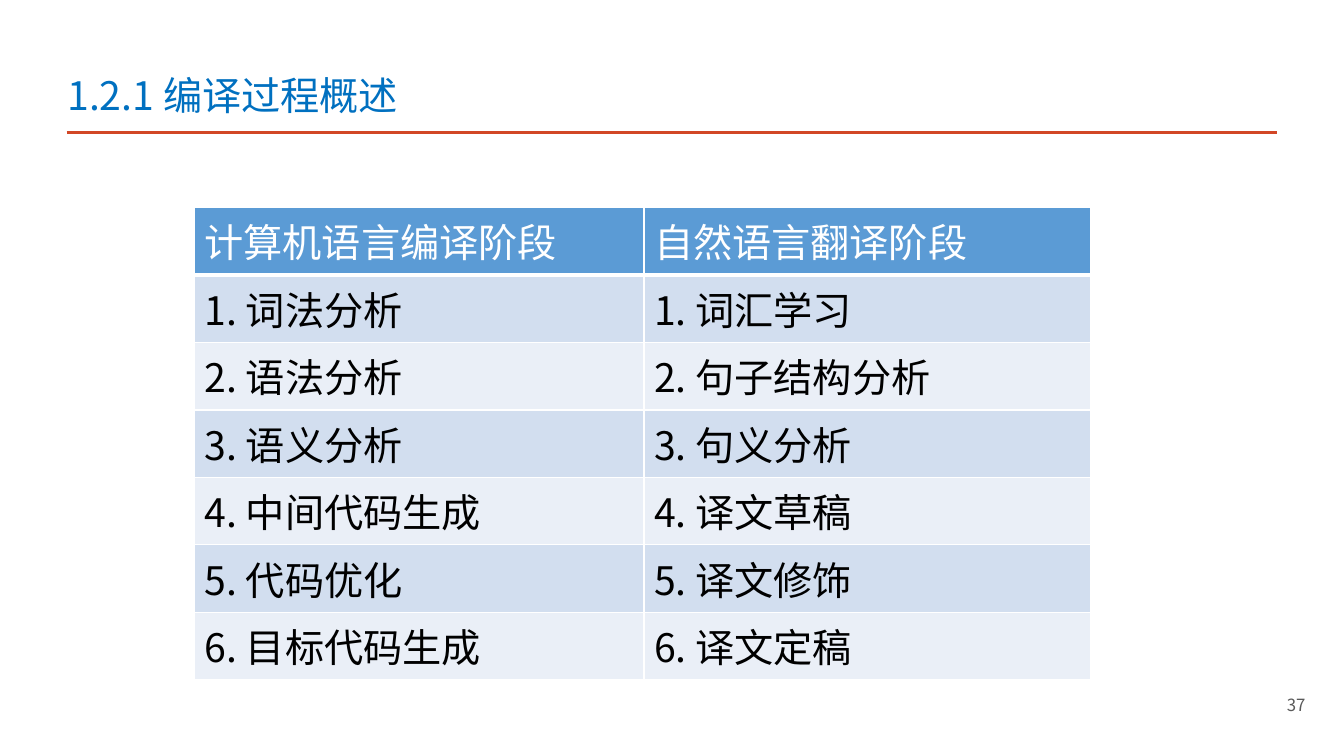
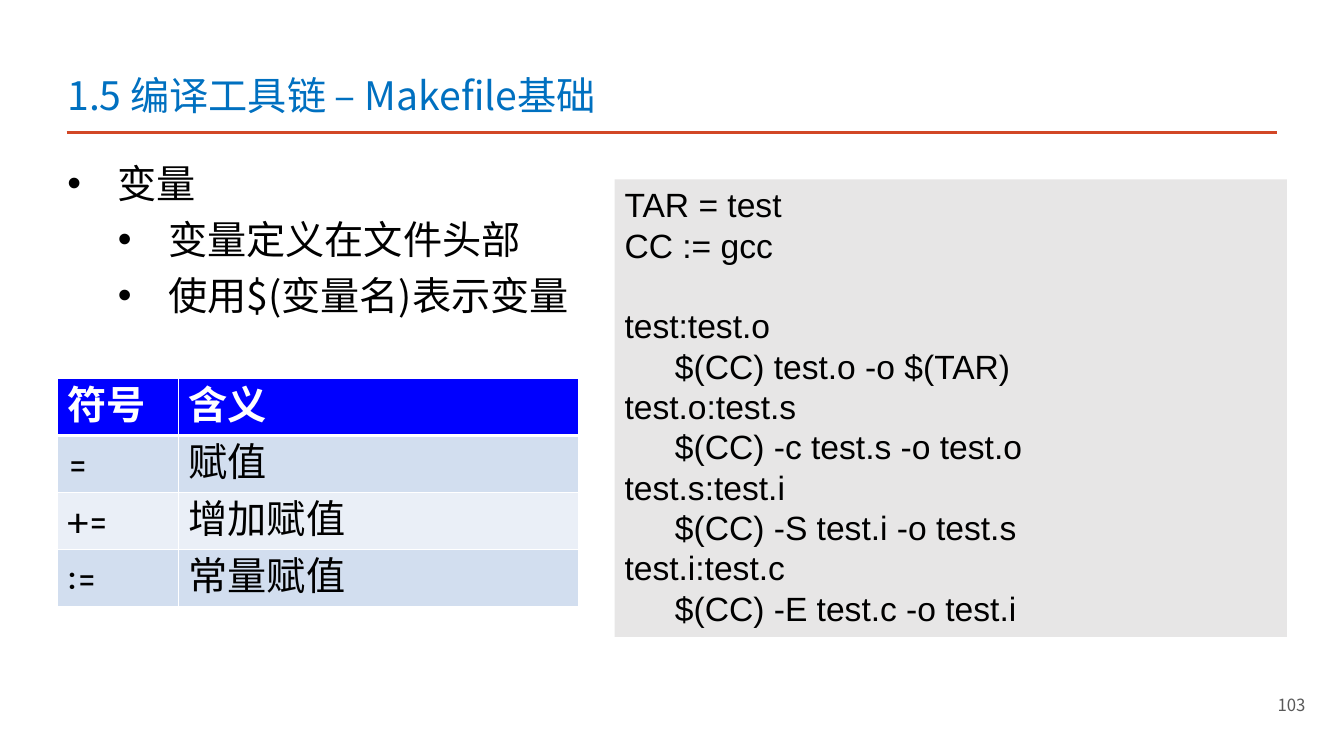
from lxml import etree
from pptx import Presentation
from pptx.dml.color import RGBColor
from pptx.enum import shapes, text
from pptx.oxml import ns
from pptx.util import Cm, Pt

CJK = "Noto Sans CJK SC"
BLUE, ORANGE, GRAY, PANEL = "0070C0", "D24726", "595959", "E7E6E6"
BLACK, WHITE = "000000", "FFFFFF"
BAND_COLORS = ["EAEFF7", "D2DEEF"]
hex_color = RGBColor.from_string


def add_xml(parent, tag, **attributes):
    return etree.SubElement(parent, ns.qn(tag), attributes)


def write(frame, content, size=28, font=CJK, color=BLACK, bold=False,
          align=None, anchor=text.MSO_ANCHOR.TOP, bullets=False):
    """Fill a text frame, one paragraph per line; with bullets, a leading tab is a level."""
    frame.word_wrap = True
    frame.vertical_anchor = anchor
    for index, line in enumerate(content.split("\n")):
        paragraph = frame.paragraphs[0] if index == 0 else frame.add_paragraph()
        paragraph.alignment = align
        if bullets:
            paragraph.level = line.count("\t")
            line = line.strip("\t")
            paragraph.line_spacing = Pt(40)
            properties = paragraph._p.get_or_add_pPr()
            properties.set("marL", str(Cm(1.27) * (paragraph.level + 1)))
            properties.set("indent", str(-Cm(1.27)))
            add_xml(properties, "a:buFont", typeface="Arial")
            add_xml(properties, "a:buChar", char="•")
        if not line:
            add_xml(paragraph._p, "a:endParaRPr", sz=str(size * 100))
            continue
        run = paragraph.add_run()
        run.text = line
        run.font.size = Pt(size)
        run.font.bold = bold
        run.font.color.rgb = hex_color(color)
        run.font.name = font
        add_xml(run._r.get_or_add_rPr(), "a:ea", typeface=font)


presentation = Presentation()
presentation.slide_width, presentation.slide_height = Cm(33.87), Cm(19.05)
blank = presentation.slide_layouts[6]

# Title, rule and page number
for title, number in [("1.2.1 编译过程概述", "37"),
                      ("1.5 编译工具链 – Makefile基础", "103")]:
    slide = presentation.slides.add_slide(blank)
    rule = slide.shapes.add_connector(
        shapes.MSO_CONNECTOR.STRAIGHT, Cm(1.68), Cm(3.33), Cm(32.18), Cm(3.33))
    rule.line.color.rgb = hex_color(ORANGE)
    rule.line.width = Pt(2)
    add_xml(rule._element.spPr, "a:effectLst")

    title_box = slide.shapes.add_textbox(Cm(1.45), Cm(1.24), Cm(19.1), Cm(1.78))
    title_box.text_frame.margin_bottom = Cm(0.03)
    write(title_box.text_frame, title, color=BLUE, anchor=text.MSO_ANCHOR.BOTTOM)

    number_box = slide.shapes.add_textbox(Cm(23.27), Cm(17.25), Cm(9.88), Cm(1.02))
    write(number_box.text_frame, number, size=12, color=GRAY,
          align=text.PP_ALIGN.RIGHT, anchor=text.MSO_ANCHOR.MIDDLE)

overview, makefile = presentation.slides

# Makefile variables and code
variables = makefile.shapes.add_textbox(Cm(1.45), Cm(3.66), Cm(29.18), Cm(4.42))
write(variables.text_frame, "变量\n\t变量定义在文件头部\n\t使用$(变量名)表示变量", bullets=True)

code_panel = makefile.shapes.add_shape(
    shapes.MSO_SHAPE.RECTANGLE, Cm(15.49), Cm(4.52), Cm(16.94), Cm(11.53))
code_panel.shadow.inherit = False
code_panel.fill.solid()
code_panel.fill.fore_color.rgb = hex_color(PANEL)
code_panel.line.fill.background()
code = """TAR = test
CC := gcc

test:test.o
\t$(CC) test.o -o $(TAR)
test.o:test.s
\t$(CC) -c test.s -o test.o
test.s:test.i
\t$(CC) -S test.i -o test.s
test.i:test.c
\t$(CC) -E test.c -o test.i"""
write(code_panel.text_frame, code, size=24, font="Arial", align=text.PP_ALIGN.LEFT)

# Tables
stages = [
    ("计算机语言编译阶段", "自然语言翻译阶段"),
    ("1. 词法分析", "1. 词汇学习"),
    ("2. 语法分析", "2. 句子结构分析"),
    ("3. 语义分析", "3. 句义分析"),
    ("4. 中间代码生成", "4. 译文草稿"),
    ("5. 代码优化", "5. 译文修饰"),
    ("6. 目标代码生成", "6. 译文定稿"),
]
operators = [("符号", "含义"), ("=", "赋值"), ("+=", "增加赋值"), (":=", "常量赋值")]

for slide, rows, left, top, widths, row_height, header_color, font, bold_header in [
    (overview, stages, 4.9, 5.23, (11.33, 11.25), 1.7, "5B9BD5", CJK, False),
    (makefile, operators, 1.45, 9.53, (3.05, 10.08), 1.44, "0000FF", "Karla", True),
]:
    table = slide.shapes.add_table(
        len(rows), len(widths), Cm(left), Cm(top),
        Cm(sum(widths)), Cm(row_height * len(rows))).table
    for column, width in zip(table.columns, widths):
        column.width = Cm(width)
    for row_index, row in enumerate(rows):
        table.rows[row_index].height = Cm(row_height)
        header = row_index == 0
        for column_index, label in enumerate(row):
            cell = table.cell(row_index, column_index)
            write(cell.text_frame, label, font=font, bold=header and bold_header,
                  color=WHITE if header else BLACK)
            borders = {"a:lnL": 1, "a:lnR": 1,
                       "a:lnT": 3 if row_index == 1 else 1, "a:lnB": 3 if header else 1}
            for tag, points in borders.items():
                border = add_xml(cell._tc.get_or_add_tcPr(), tag, w=str(Pt(points)))
                add_xml(add_xml(border, "a:solidFill"), "a:srgbClr", val=WHITE)
            cell.fill.solid()
            cell.fill.fore_color.rgb = hex_color(
                header_color if header else BAND_COLORS[row_index % 2])

presentation.save("out.pptx")
